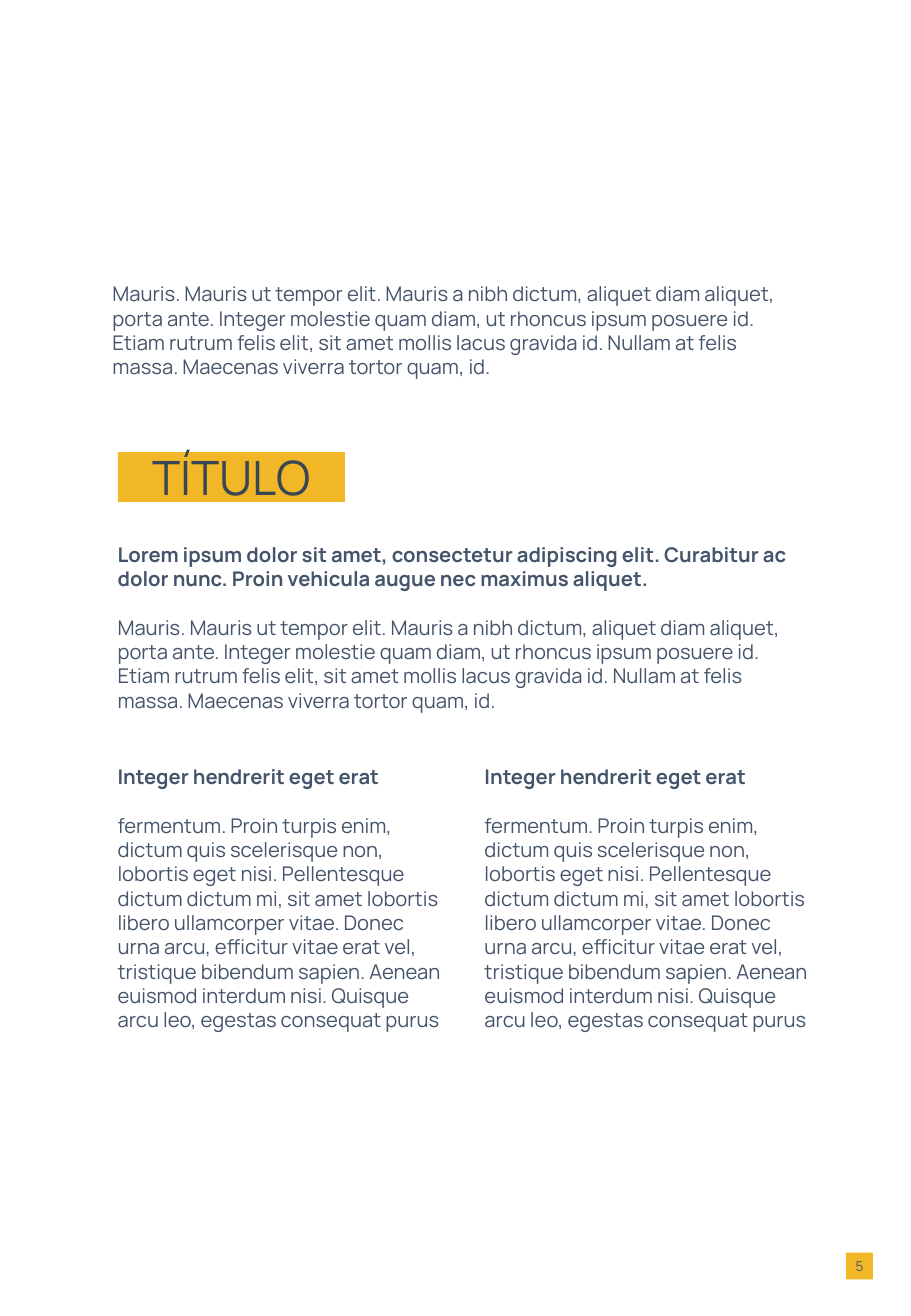
from pptx import Presentation
from pptx.dml.color import RGBColor
from pptx.enum import shapes, text
from pptx.util import Pt

YELLOW = RGBColor(0xF1, 0xB7, 0x27)
SLATE = RGBColor(0x44, 0x54, 0x6A)
DARK = RGBColor(0x38, 0x47, 0x53)

LEAD = "Lorem ipsum dolor sit amet, consectetur adipiscing elit. Curabitur ac dolor nunc. Proin vehicula augue nec maximus aliquet."
MAURIS = (
    "Mauris. Mauris ut tempor elit. Mauris a nibh dictum, aliquet diam aliquet, porta ante. "
    "Integer molestie quam diam, ut rhoncus ipsum posuere id. Etiam rutrum felis elit, sit amet "
    "mollis lacus gravida id. Nullam at felis massa. Maecenas viverra tortor quam, id."
)
COLUMN_HEAD = "Integer hendrerit eget erat"
COLUMN_BODY = (
    "fermentum. Proin turpis enim, dictum quis scelerisque non, lobortis eget nisi. Pellentesque "
    "dictum dictum mi, sit amet lobortis libero ullamcorper vitae. Donec urna arcu, efficitur vitae "
    "erat vel, tristique bibendum sapien. Aenean euismod interdum nisi. Quisque arcu leo, egestas "
    "consequat purus"
)


def add_paragraph(tf, words, size=12, color=SLATE, bold=False, align=text.PP_ALIGN.LEFT, after=0):
    p = tf.add_paragraph() if tf.text else tf.paragraphs[0]
    p.alignment = align
    p.space_after = Pt(after)
    r = p.add_run()
    r.text = words
    r.font.name = "Manrope"
    r.font.size = Pt(size)
    r.font.bold = bold
    r.font.color.rgb = color


prs = Presentation()
prs.slide_width, prs.slide_height = Pt(540), Pt(779.76)
s = prs.slides.add_slide(prs.slide_layouts[5])

title = s.shapes.title
title.left, title.top, title.width, title.height = Pt(69.84), Pt(267.84), Pt(134.64), Pt(29.52)
title.fill.solid()
title.fill.fore_color.rgb = YELLOW
tf = title.text_frame
tf.auto_size = text.MSO_AUTO_SIZE.NONE
tf.vertical_anchor = text.MSO_ANCHOR.MIDDLE
add_paragraph(tf, "TÍTULO", size=28, color=DARK, align=text.PP_ALIGN.CENTER)

badge = s.shapes.add_shape(shapes.MSO_SHAPE.RECTANGLE, Pt(501.5), Pt(742.2), Pt(16), Pt(16))
badge.shadow.inherit = False
badge.fill.solid()
badge.fill.fore_color.rgb = YELLOW
badge.line.fill.background()
tf = badge.text_frame
tf.margin_left = tf.margin_right = tf.margin_top = tf.margin_bottom = 0
tf.vertical_anchor = text.MSO_ANCHOR.MIDDLE
add_paragraph(tf, "5", size=8, align=text.PP_ALIGN.CENTER)

blocks = [
    (59.6, 163.4, 414.7, 65.5, None, MAURIS),
    (62.6, 317.5, 419, 108.7, LEAD, MAURIS),
    (62.6, 449.3, 207.4, 167, COLUMN_HEAD, COLUMN_BODY),
    (280.1, 449.3, 207.4, 167, COLUMN_HEAD, COLUMN_BODY),
]
for left, top, width, height, head, body in blocks:
    tf = s.shapes.add_textbox(Pt(left), Pt(top), Pt(width), Pt(height)).text_frame
    tf.word_wrap = True
    tf.auto_size = text.MSO_AUTO_SIZE.SHAPE_TO_FIT_TEXT
    if head:
        add_paragraph(tf, head, bold=True, after=14.5)
    add_paragraph(tf, body)

prs.save("out.pptx")
